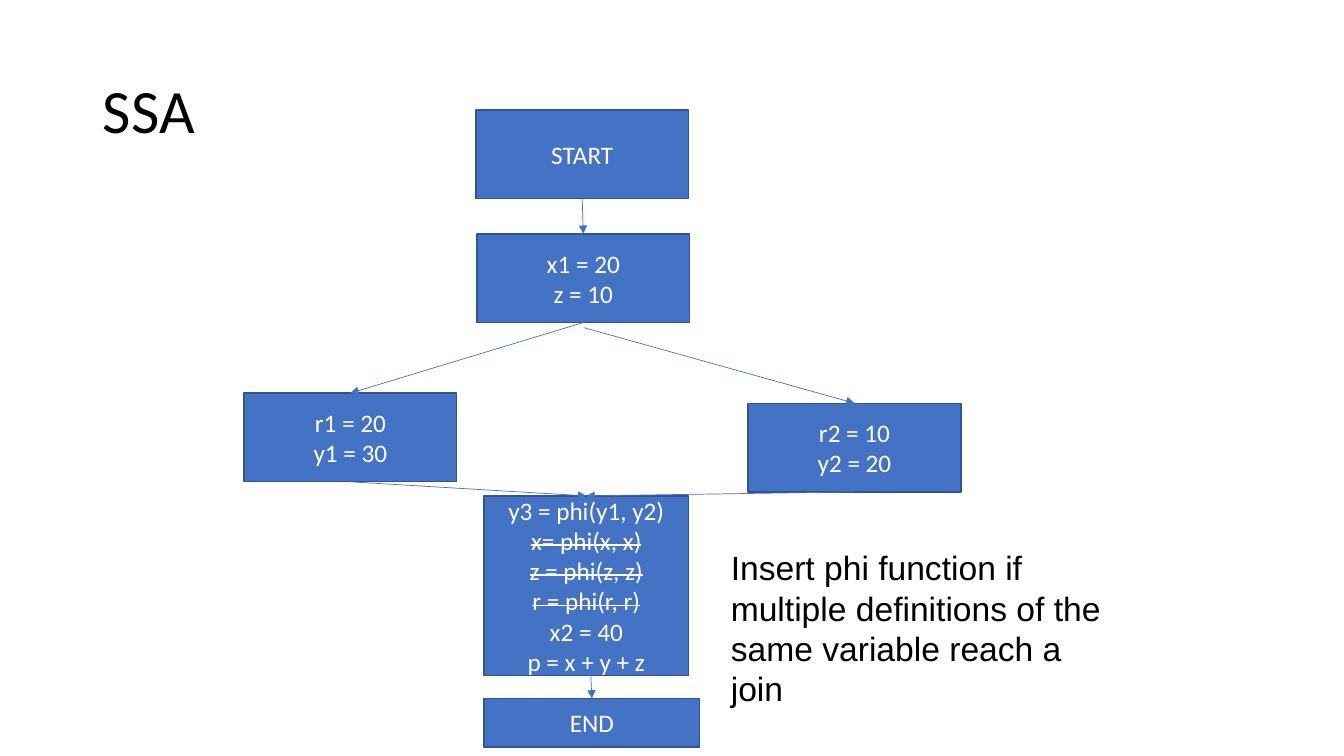
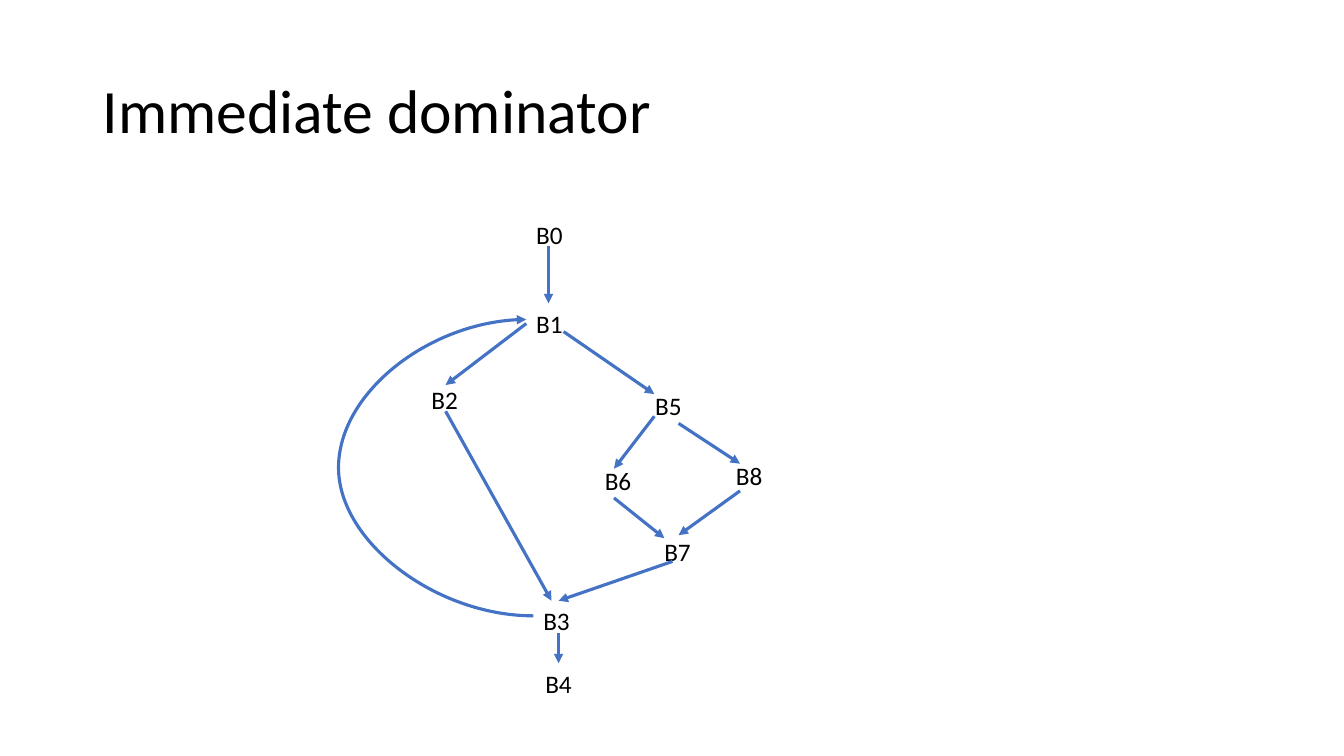
from lxml import etree
from pptx import Presentation
from pptx.dml.color import RGBColor
from pptx.enum.shapes import MSO_CONNECTOR, MSO_SHAPE
from pptx.enum.text import MSO_ANCHOR, MSO_AUTO_SIZE, PP_ALIGN
from pptx.oxml.ns import qn
from pptx.util import Inches, Pt

RECT = MSO_SHAPE.RECTANGLE
STRAIGHT, CURVE = MSO_CONNECTOR.STRAIGHT, MSO_CONNECTOR.CURVE
LEFT, CENTER = PP_ALIGN.LEFT, PP_ALIGN.CENTER
TOP, MIDDLE = MSO_ANCHOR.TOP, MSO_ANCHOR.MIDDLE
FIXED, GROW = MSO_AUTO_SIZE.NONE, MSO_AUTO_SIZE.SHAPE_TO_FIT_TEXT

CELL = Inches(0.1)
BLUE, EDGE, BLACK, WHITE = "4472C4", "325491", "000000", "FFFFFF"
HEAD = {"name": "Calibri", "size": Pt(44)}
LABEL = {"name": "Calibri", "size": Pt(18)}
NOTE = {"name": "Arial", "size": Pt(24)}
THIN, THICK = 0.5, 2.25
WIDE, TALL = 21.1, 8.8

BLOCKS = {
    "entry": (47.3, 23.2, WIDE, TALL, ["x1 = 20", "z = 10"]),
    "left": (24.2, 39, WIDE, TALL, ["r1 = 20", "y1 = 30"]),
    "right": (74.2, 40, WIDE, TALL, ["r2 = 10", "y2 = 20"]),
    "join": (48, 49.2, 20.3, 17.8, [
        "y3 = phi(y1, y2)", "~x= phi(x, x)", "~z = phi(z, z)",
        "~r = phi(r, r)", "x2 = 40", "p = x + y + z"]),
    "end": (48, 69.3, 21.4, 4.8, ["END"]),
    "start": (47.2, 10.9, WIDE, TALL, ["START"]),
}
FLOWS = [
    ("entry", "left", None), ("entry", "right", (57.9, 32.5)),
    ("right", "join", None), ("left", "join", None),
    ("join", "end", (58.6, 66.9)), ("start", "entry", None),
]
NODES = {
    "B0": (52.2, 21.3), "B1": (52.2, 30.1), "B2": (41.8, 37.6),
    "B5": (64, 38.2), "B6": (59, 45.7), "B8": (72, 45.2),
    "B7": (64.9, 52.7), "B3": (52.9, 59.6), "B4": (53.1, 65.8),
}
LINKS = [
    ((54.4, 24.4), (54.4, 30.1)), ((52.2, 32.1), (44.2, 38.2)),
    ((44.2, 40.8), (54.7, 59.6)), ((55.4, 62.8), (55.4, 65.8)),
    ((66.7, 55.7), (55.4, 59.6)), ((60.9, 49.4), (65.9, 53.4)),
    ((73.4, 48.7), (67.3, 53.1)), ((64.9, 41.3), (60.9, 46.5)),
    ((67.3, 42), (73.4, 46)), ((55.9, 32.9), (64.9, 39.1)),
]
LOOP = ((52.9, 61.1), (52.2, 31.7))
BULGE = 33.6


def grid(*cells):
    return [int(CELL * cell) for cell in cells]


def tint(text):
    return RGBColor.from_string(text)


def style(thing, values):
    for key, value in values.items():
        setattr(thing, key, value)


def write(shape, lines, font, color, align=LEFT, anchor=TOP, fit=FIXED, lead=1.0):
    frame = shape.text_frame
    style(frame, {"word_wrap": True, "auto_size": fit, "vertical_anchor": anchor})
    for index, line in enumerate(lines):
        para = frame.add_paragraph() if index else frame.paragraphs[0]
        style(para, {"alignment": align, "line_spacing": lead})
        run = para.add_run()
        run.text = line.lstrip("~")
        style(run.font, font)
        run.font.color.rgb = tint(color)
        if line.startswith("~"):
            run._r.get_or_add_rPr().set("strike", "sngStrike")


def page(deck, title):
    slide = deck.slides.add_slide(deck.slide_layouts[5])
    shape = slide.shapes.title
    left, top, width, height = grid(9.2, 4, 115, 14.5)
    style(shape, {"left": left, "top": top, "width": width, "height": height})
    write(shape, [title], HEAD, BLACK, anchor=MIDDLE, lead=0.9)
    return slide


def block(slide, left, top, width, height, lines):
    shape = slide.shapes.add_shape(RECT, *grid(left, top, width, height))
    shape.shadow.inherit = False
    shape.fill.solid()
    shape.fill.fore_color.rgb = tint(BLUE)
    shape.line.color.rgb = tint(EDGE)
    shape.line.width = Pt(1)
    write(shape, lines, LABEL, WHITE, CENTER, MIDDLE)
    return shape


def label(slide, place, text, font):
    shape = slide.shapes.add_textbox(*grid(*place))
    write(shape, [text], font, BLACK, fit=GROW)


def arrow(slide, start, end, weight, kind=STRAIGHT):
    link = slide.shapes.add_connector(kind, *grid(*start, *end))
    link.line.color.rgb = tint(BLUE)
    link.line.width = Pt(weight)
    props = link._element.spPr
    etree.SubElement(props.find(qn("a:ln")), qn("a:tailEnd"), type="triangle")
    etree.SubElement(props, qn("a:effectLst"))
    return link


def bend(slide, start, end, reach):
    link = arrow(slide, start, end, THICK, CURVE)
    ratio = round((start[0] - reach) / (start[0] - end[0]) * 100000)
    geom = link._element.spPr.find(qn("a:prstGeom"))
    guides = geom.find(qn("a:avLst"))
    if guides is None:
        guides = etree.SubElement(geom, qn("a:avLst"))
    etree.SubElement(guides, qn("a:gd"), name="adj1", fmla=f"val {ratio}")


def flow(slide):
    shapes = {name: block(slide, *data) for name, data in BLOCKS.items()}
    for source, target, point in FLOWS:
        left, top, width, height, _ = BLOCKS[source]
        foot = point or (left + width / 2, top + height)
        left, top, width, _, _ = BLOCKS[target]
        link = arrow(slide, foot, (left + width / 2, top), THIN)
        if not point:
            link.begin_connect(shapes[source], 2)
        link.end_connect(shapes[target], 0)
    label(slide, (71.5, 53.8, 39.6, 17.2),
          "Insert phi function if multiple definitions of the same variable reach a join", NOTE)


def graph(slide):
    for name, place in NODES.items():
        label(slide, (*place, 14.4, 4), name, LABEL)
    for start, end in LINKS:
        arrow(slide, start, end, THICK)
    bend(slide, *LOOP, BULGE)


def main():
    deck = Presentation()
    style(deck, {"slide_width": Inches(13.33), "slide_height": Inches(7.5)})
    flow(page(deck, "SSA"))
    graph(page(deck, "Immediate dominator"))
    deck.save("out.pptx")


if __name__ == "__main__":
    main()
